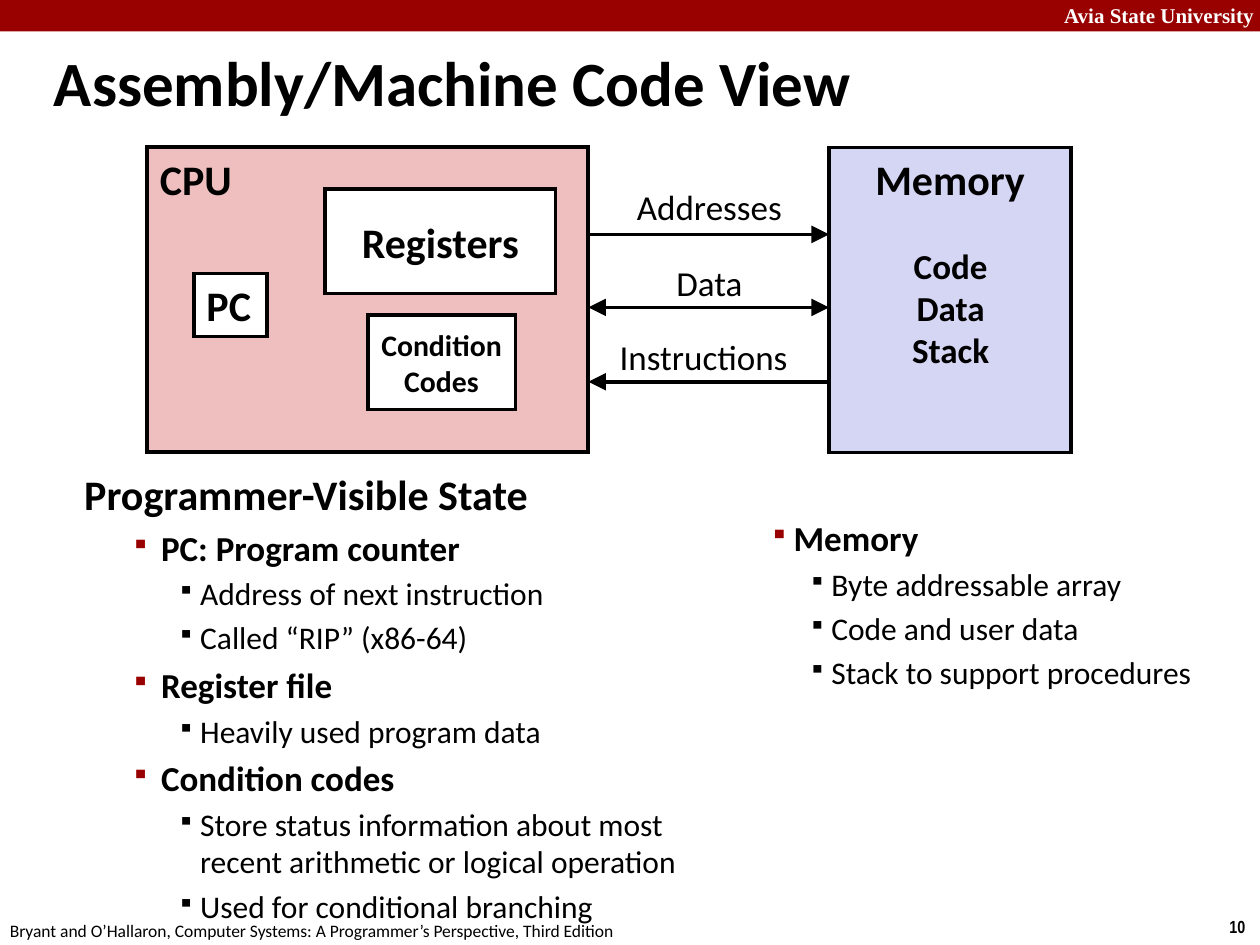
from lxml.etree import SubElement
from pptx import Presentation
from pptx.dml.color import RGBColor
from pptx.enum.shapes import MSO_CONNECTOR, MSO_SHAPE
from pptx.enum.text import MSO_ANCHOR, PP_ALIGN
from pptx.oxml.ns import qn
from pptx.util import Inches, Pt

BLACK = RGBColor(0, 0, 0)
WHITE = RGBColor(255, 255, 255)
CRIMSON = RGBColor(0x99, 0, 0)
PINK = RGBColor(0xEF, 0xBF, 0xBF)
LAVENDER = RGBColor(0xD5, 0xD5, 0xF4)
LEFT, CENTER, RIGHT = PP_ALIGN.LEFT, PP_ALIGN.CENTER, PP_ALIGN.RIGHT
TOP, MIDDLE = MSO_ANCHOR.TOP, MSO_ANCHOR.MIDDLE

deck = Presentation()
deck.slide_width, deck.slide_height = Inches(10), Inches(7.5)
page = deck.slides.add_slide(deck.slide_layouts[6])


def add_box(place, lines=(), size=20, bold=False, align=LEFT, anchor=TOP,
            fill=None, border=None, font="Calibri", color=BLACK, wrap=True):
    """Add a text box, or a rectangle when a fill is given."""
    place = [Inches(length) for length in place]
    if fill is None:
        box = page.shapes.add_textbox(*place)
    else:
        box = page.shapes.add_shape(MSO_SHAPE.RECTANGLE, *place)
        box.shadow.inherit = False
        box.fill.solid()
        box.fill.fore_color.rgb = fill
        if border:
            box.line.color.rgb = BLACK
            box.line.width = Pt(border)
            SubElement(box.line._get_or_add_ln(), qn("a:miter"), lim="800000")
        else:
            box.line.fill.background()
    frame = box.text_frame
    frame.word_wrap = wrap
    frame.vertical_anchor = anchor
    for index, line in enumerate(lines):
        para = frame.paragraphs[0] if index == 0 else frame.add_paragraph()
        para.text = line
        para.alignment = align
        para.font.name, para.font.size = font, Pt(size)
        para.font.bold, para.font.color.rgb = bold, color
    return box


def add_outline(place, items, indents):
    """Add a bulleted outline; indents gives margin and hanging indent by level."""
    frame = add_box(place, [text for level, text in items]).text_frame
    for index, (para, (level, text)) in enumerate(zip(frame.paragraphs, items)):
        para.level = level
        para.font.size = Pt((24, 20, 18)[level])
        para.font.bold = level < 2
        if index:
            para.space_before = Pt((0, 4, 3.6)[level])
        margin, hanging = indents[level]
        properties = para._p.get_or_add_pPr()
        properties.set("marL", str(Inches(margin)))
        properties.set("indent", str(-Inches(hanging)))
        if level:
            bullet_color = SubElement(properties, qn("a:buClr"))
            SubElement(bullet_color, qn("a:srgbClr"),
                       val=str(CRIMSON if level == 1 else BLACK))
            SubElement(properties, qn("a:buSzPct"), val="75000")
            SubElement(properties, qn("a:buChar"), char="▪")


# Header band, footer and page number
add_box((0, 0, 10, 0.25), fill=CRIMSON)
add_box((7.55, -0.03, 2.5, 0.3), ["Avia State University"], 12, True, RIGHT,
        font="Times New Roman", color=WHITE)
add_box((9.66, 7.22, 0.34, 0.27), ["10"], 10, True, font="Arial Narrow", wrap=False)
add_box((-0.02, 7.25, 5.08, 0.27),
        ["Bryant and O’Hallaron, Computer Systems: A Programmer’s Perspective, "
         "Third Edition"], 10, wrap=False)

# Title
add_box((0.33, 0.33, 7.9, 0.63), ["Assembly/Machine Code View"], 36, True, anchor=MIDDLE)

# CPU and memory blocks
add_box((1.17, 1.17, 3.5, 2.42), ["CPU"], 24, True, fill=PINK, border=2.25)
for place, lines, size, align in (
    ((1.54, 2.17, 0.58, 0.5), ["PC"], 24, LEFT),
    ((2.58, 1.5, 1.83, 0.83), ["Registers"], 24, CENTER),
    ((2.92, 2.5, 1.17, 0.75), ["Condition", "Codes"], 17, CENTER),
):
    add_box(place, lines, size, True, align, MIDDLE, WHITE, 2, wrap=False)
add_box((6.58, 1.17, 1.92, 2.42), ["Memory"], 24, True, CENTER, fill=LAVENDER, border=2)
add_box((6.92, 1.89, 1.25, 1.11), ["Code", "Data", "Stack"], 20, True, CENTER)

# Buses between CPU and memory: label, label top and width, line height, arrow ends
for label, top, width, y, ends in (
    ("Addresses", 1.42, 1.92, 1.86, ["tailEnd"]),
    ("Data", 2.03, 1.92, 2.44, ["headEnd", "tailEnd"]),
    ("Instructions", 2.61, 1.83, 3.03, ["headEnd"]),
):
    bus = page.shapes.add_connector(MSO_CONNECTOR.STRAIGHT, Inches(4.67), Inches(y),
                                    Inches(6.58), Inches(y))
    bus.line.color.rgb = BLACK
    bus.line.width = Pt(2)
    for end in ends:
        SubElement(bus.line._get_or_add_ln(), qn(f"a:{end}"),
                   type="triangle", w="lg", len="lg")
    SubElement(bus._element.spPr, qn("a:effectLst"))
    add_box((4.67, top, width, 0.43), [label], align=CENTER)

# Outlines of the programmer-visible state
add_outline((0.57, 3.67, 5.31, 3.38), [
    (0, "Programmer-Visible State"),
    (1, "PC: Program counter"),
    (2, "Address of next instruction"),
    (2, "Called “RIP” (x86-64)"),
    (1, "Register file"),
    (2, "Heavily used program data"),
    (1, "Condition codes"),
    (2, "Store status information about most recent arithmetic or logical operation"),
    (2, "Used for conditional branching"),
], [(0.25, 0.25), (0.61, 0.24), (0.92, 0.18)])
add_outline((5.88, 4.05, 3.96, 1.72), [
    (1, "Memory"),
    (2, "Byte addressable array"),
    (2, "Code and user data"),
    (2, "Stack to support procedures"),
], [(0, 0), (0.32, 0.19), (0.62, 0.18)])

deck.save("out.pptx")
